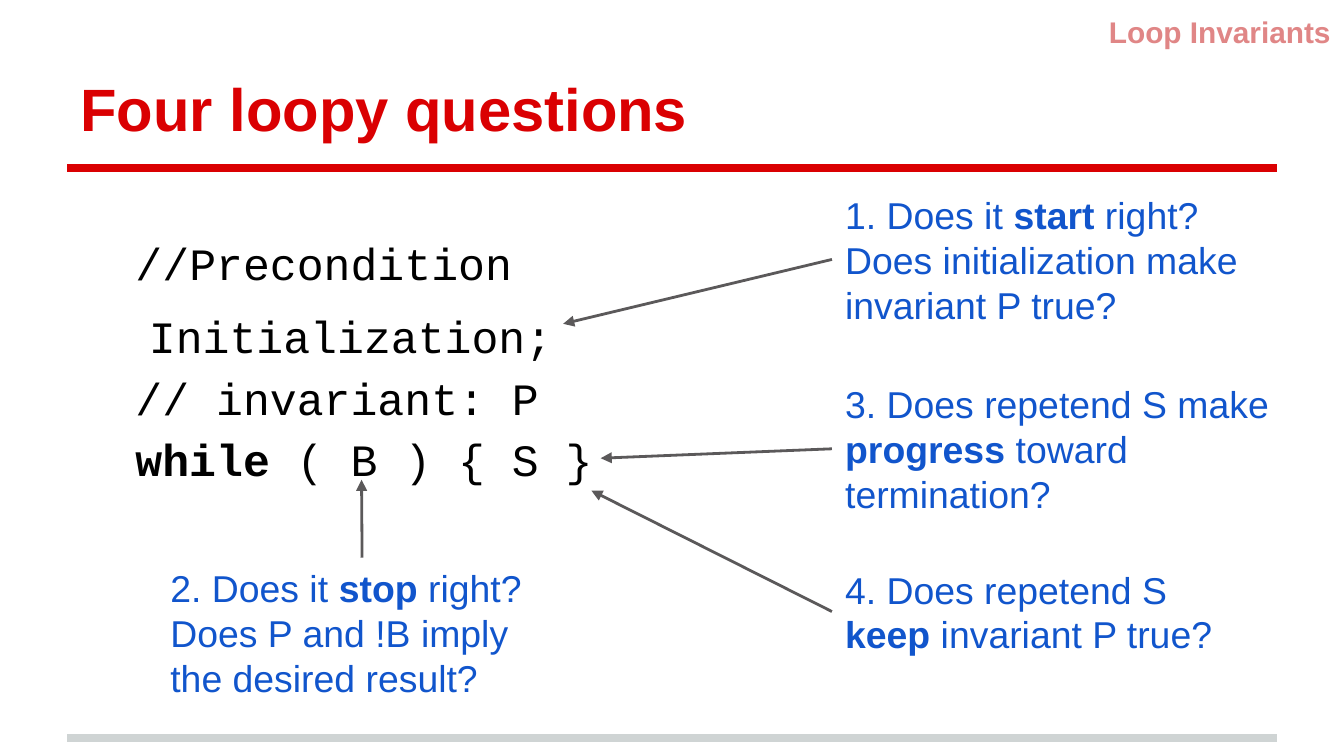
import dataclasses

import pptx
import pptx.dml.color
import pptx.enum.shapes
import pptx.enum.text
import pptx.oxml.ns
import pptx.util
from lxml import etree

Pt = pptx.util.Pt
ANCHOR = pptx.enum.text.MSO_ANCHOR
ALIGN = pptx.enum.text.PP_ALIGN
TOP, LEFT = 0, 1


@dataclasses.dataclass(frozen=True)
class Theme:
    """Colours, fonts and sizes of the slide."""
    red: str = "DA0002"
    pale_red: str = "E08686"
    grey: str = "CFD4D4"
    black: str = "000000"
    blue: str = "1155CC"
    arrow: str = "5B595A"
    sans: str = "Arial"
    mono: str = "Courier New"
    title_size: float = 32
    topic_size: float = 16
    code_size: float = 24
    question_size: float = 20
    inset: float = 7.2
    rule_width: float = 4
    arrow_width: float = 1.5


THEME = Theme()


def add_text(slide, area, paragraphs, font, size, color, anchor=ANCHOR.TOP):
    """Add a wrapped text box whose paragraphs are lists of runs, with *bold* runs starred."""
    box = slide.shapes.add_textbox(*map(Pt, area))
    frame = box.text_frame
    frame.word_wrap = True
    frame.vertical_anchor = anchor
    frame.margin_left = frame.margin_right = Pt(THEME.inset)
    frame.margin_top = frame.margin_bottom = Pt(THEME.inset)
    for index, content in enumerate(paragraphs):
        paragraph = frame.add_paragraph() if index else frame.paragraphs[0]
        paragraph.font.name = font
        paragraph.font.size = Pt(size)
        paragraph.font.color.rgb = pptx.dml.color.RGBColor.from_string(color)
        for position, words in enumerate(content.split("*")):
            if words:
                run = paragraph.add_run()
                run.text = words
                if position % 2:
                    run.font.bold = True
    return box


def add_line(slide, start, end, color, width):
    """Add a straight line without a shadow."""
    line = slide.shapes.add_connector(
        pptx.enum.shapes.MSO_CONNECTOR.STRAIGHT, *map(Pt, start + end))
    line.line.color.rgb = pptx.dml.color.RGBColor.from_string(color)
    line.line.width = Pt(width)
    etree.SubElement(line._element.spPr, pptx.oxml.ns.qn("a:effectLst"))
    return line


def add_rule(slide, y, color):
    """Add a horizontal rule between the slide margins."""
    add_line(slide, (36, y), (684, y), color, THEME.rule_width)


def add_heading(slide, area, words, size, color, anchor, align):
    """Add a bold one-line heading."""
    box = add_text(slide, area, [words], THEME.sans, size, color, anchor)
    heading = box.text_frame.paragraphs[0]
    heading.font.bold = True
    heading.alignment = align


def add_code(slide):
    """Add the annotated loop."""
    code = add_text(
        slide, (36.7, 114.7, 297.4, 158.2),
        ["  //Precondition", "Initialization;", "  // invariant: P", "  *while *( B ) { S }"],
        THEME.mono, THEME.code_size, THEME.black)
    for statement in code.text_frame.paragraphs:
        statement.line_spacing = 1.15
    initialization = code.text_frame.paragraphs[1]
    initialization.space_before = Pt(6)
    initialization._p.get_or_add_pPr().set("indent", str(Pt(36)))


def add_question(slide, area, paragraphs, side, target):
    """Add a question and an arrow from the middle of its side to the code."""
    question = add_text(slide, area, paragraphs, THEME.sans,
                        THEME.question_size, THEME.blue, ANCHOR.MIDDLE)
    arrow = add_line(slide, area[:2], target, THEME.arrow, THEME.arrow_width)
    arrow.begin_connect(question, side)
    etree.SubElement(arrow.line._get_or_add_ln(),
                     pptx.oxml.ns.qn("a:tailEnd"), type="triangle")


def main():
    """Build and save the slide."""
    deck = pptx.Presentation()
    deck.slide_width, deck.slide_height = Pt(720), Pt(405)
    slide = deck.slides.add_slide(deck.slide_layouts[6])

    add_rule(slide, 395.3, THEME.grey)
    add_rule(slide, 90, THEME.red)
    add_heading(slide, (36, 16.6, 648, 67.7), "Four loopy questions",
                THEME.title_size, THEME.red, ANCHOR.BOTTOM, ALIGN.LEFT)
    add_heading(slide, (551.5, 0, 168.5, 28.8), "Loop Invariants",
                THEME.topic_size, THEME.pale_red, ANCHOR.TOP, ALIGN.RIGHT)
    add_code(slide)

    questions = [
        ((445.7, 124.6, 233.3, 28.8),
         ["1. Does it *start* right? Does initialization make invariant P true?"],
         LEFT, (301.7, 173.5)),
        ((84.2, 298.8, 219.6, 79.9),
         ["2. Does it *stop* right?", "Does P and !B imply the desired result?"],
         TOP, (193.7, 257)),
        ((445.7, 206.6, 262.8, 67.7),
         ["3. Does repetend S make *progress *toward termination?"],
         LEFT, (321.8, 245.5)),
        ((445.7, 293.8, 233.3, 67.7),
         ["4. Does repetend S *keep* invariant P true?"],
         LEFT, (316.8, 262.8)),
    ]
    for area, paragraphs, side, target in questions:
        add_question(slide, area, paragraphs, side, target)

    deck.save("out.pptx")


if __name__ == "__main__":
    main()
